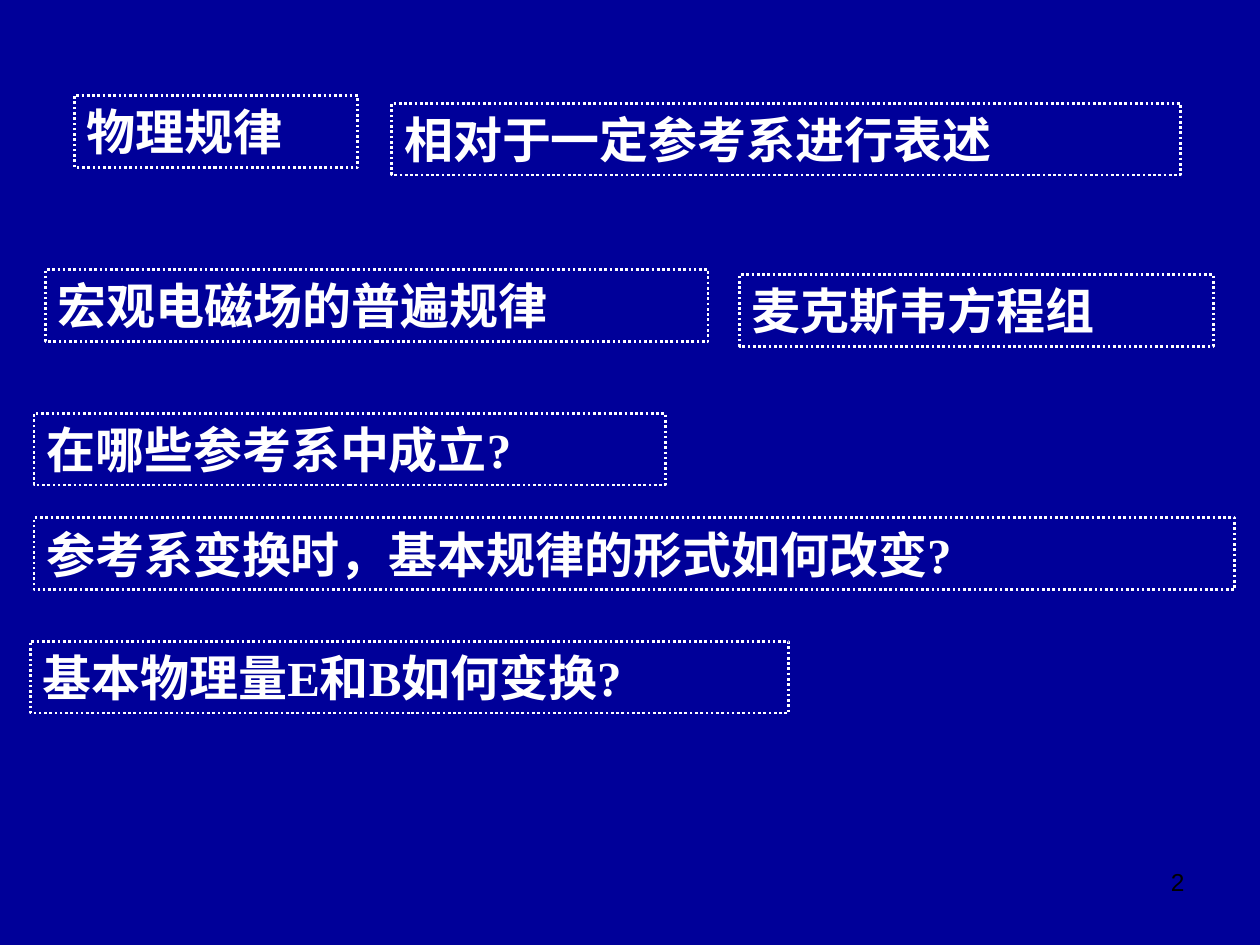
import pptx
import pptx.dml.color
import pptx.enum.dml
import pptx.enum.shapes
import pptx.enum.text
import pptx.util

COLORS = {"background": "000099", "light": "FFFFFF", "dark": "000000"}
CELL = 0.1  # inches: the slide is a grid of 100 columns by 75 rows
BOX_ROWS = 5.7

# left column, top row, width in columns, text
STATEMENTS = [
    (5.9, 7.6, 22.5, "物理规律"),
    (31.1, 8.2, 62.6, "相对于一定参考系进行表述"),
    (3.6, 21.4, 52.6, "宏观电磁场的普遍规律"),
    (58.7, 21.8, 37.6, "麦克斯韦方程组"),
    (2.7, 32.8, 50.1, "在哪些参考系中成立?"),
    (2.7, 41.1, 95.3, "参考系变换时，基本规律的形式如何改变?"),
    (2.4, 50.9, 60.2, "基本物理量E和B如何变换?"),
]


def color(name):
    return pptx.dml.color.RGBColor.from_string(COLORS[name])


def place(*cells):
    return [pptx.util.Inches(round(cell * CELL, 2)) for cell in cells]


class SlideBuilder:
    def __init__(self, deck):
        self.slide = deck.slides.add_slide(deck.slide_layouts[6])
        fill = self.slide.background.fill
        fill.solid()
        fill.fore_color.rgb = color("background")

    def add_text(self, box, text, font, size, ink, align, bold=False):
        frame = box.text_frame
        frame.word_wrap = True
        frame.vertical_anchor = pptx.enum.text.MSO_ANCHOR.TOP
        para = frame.paragraphs[0]
        para.alignment = align
        span = para.add_run()
        span.text = text
        span.font.name = font
        span.font.size = pptx.util.Pt(size)
        span.font.bold = bold
        span.font.color.rgb = color(ink)

    def statement(self, left, top, width, text):
        box = self.slide.shapes.add_shape(
            pptx.enum.shapes.MSO_SHAPE.RECTANGLE,
            *place(left, top, width, BOX_ROWS))
        box.shadow.inherit = False
        box.fill.background()
        box.line.color.rgb = color("light")
        box.line.width = pptx.util.Pt(1.5)
        box.line.dash_style = pptx.enum.dml.MSO_LINE.ROUND_DOT
        self.add_text(box, text, "Times New Roman", 28, "light",
                      pptx.enum.text.PP_ALIGN.LEFT, bold=True)
        box.text_frame.auto_size = pptx.enum.text.MSO_AUTO_SIZE.SHAPE_TO_FIT_TEXT

    def page_number(self, left, top, width, height, number):
        box = self.slide.shapes.add_textbox(*place(left, top, width, height))
        self.add_text(box, number, "Arial", 14, "dark",
                      pptx.enum.text.PP_ALIGN.RIGHT)


def main():
    deck = pptx.Presentation()
    deck.slide_width, deck.slide_height = place(100, 75)
    page = SlideBuilder(deck)
    for statement in STATEMENTS:
        page.statement(*statement)
    page.page_number(71.7, 68.3, 23.3, 5.2, "2")
    deck.save("out.pptx")


if __name__ == "__main__":
    main()
